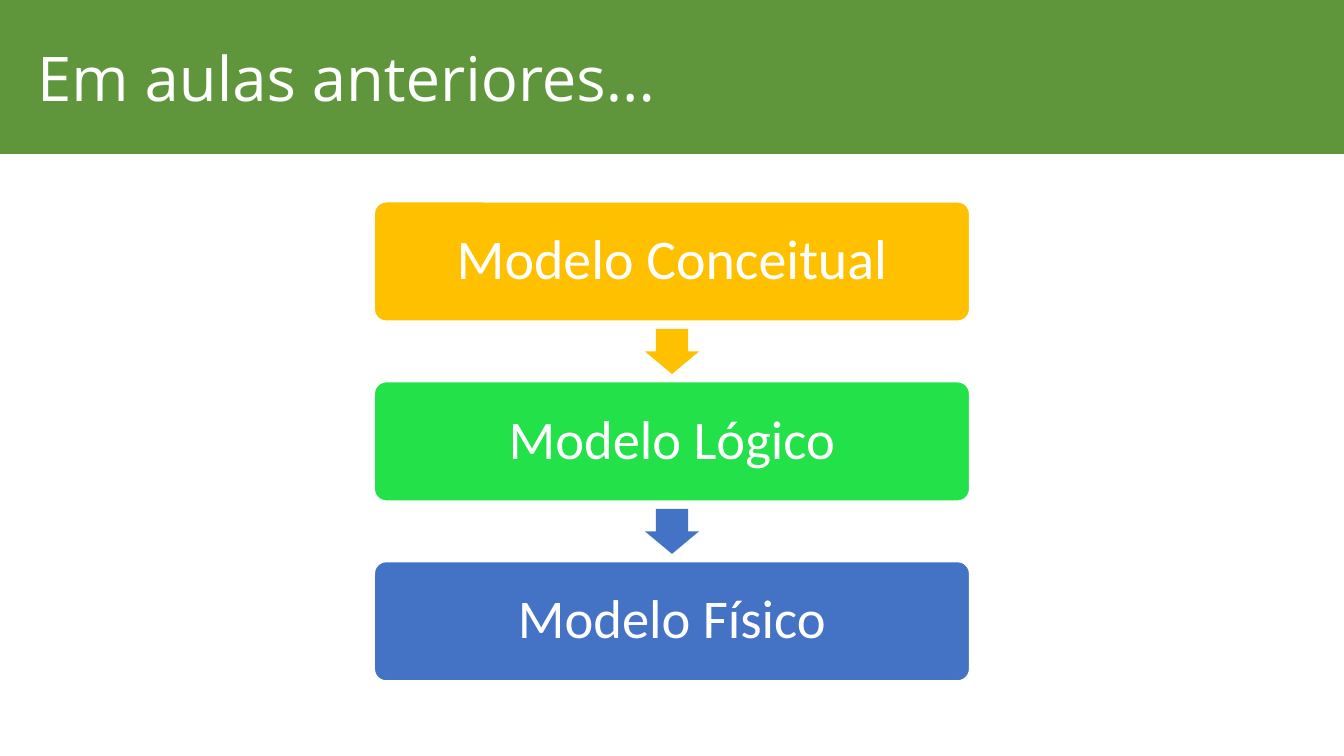
from pptx import Presentation
from pptx.dml.color import RGBColor
from pptx.enum.shapes import MSO_SHAPE
from pptx.enum.text import MSO_ANCHOR, PP_ALIGN
from pptx.util import Pt

# Content
TITLE = "Em aulas anteriores..."
STEPS = [  # text, size, box colour, colour of the arrow below
    ("Modelo Conceitual", 40, "gold", "gold"),
    ("Modelo Lógico", 39, "green", "blue"),
    ("Modelo Físico", 39, "blue", None),
]
HEX = {"band": "5F963B", "gold": "FFC000", "green": "23E148",
       "blue": "4472C4", "white": "FFFFFF"}

# Layout, in points
WIDE, HIGH = 960, 540
BOX_W, BOX_H, TOP, PITCH = 425.2, 85.2, 144.2, 128.5
ARROW_W, ARROW_H = 32.2, 38.6


def color(name):
    return RGBColor.from_string(HEX[name])


def draw(kind, left, top, width, height, fill, line=None):
    shape = slide.shapes.add_shape(
        kind, Pt(left), Pt(top), Pt(width), Pt(height))
    shape.shadow.inherit = False
    shape.fill.solid()
    shape.fill.fore_color.rgb = color(fill)
    if line:
        shape.line.color.rgb = color(line)
        shape.line.width = Pt(1)
    else:
        shape.line.fill.background()
    return shape


def write(shape, text, size, font, align, inset):
    frame = shape.text_frame
    frame.word_wrap = True
    frame.vertical_anchor = MSO_ANCHOR.MIDDLE
    frame.margin_left = frame.margin_right = Pt(inset)
    para = frame.paragraphs[0]
    para.alignment = align
    para.line_spacing = 0.9
    run = para.add_run()
    run.text = text
    run.font.size = Pt(size)
    run.font.name = font
    run.font.color.rgb = color("white")


deck = Presentation()
deck.slide_width, deck.slide_height = Pt(WIDE), Pt(HIGH)
slide = deck.slides.add_slide(deck.slide_layouts[5])

# Title on its green band
title = slide.shapes.title
title.left, title.top = Pt(19.4), Pt(5.8)
title.width, title.height = Pt(828), Pt(104.4)
write(title, TITLE, 44, "Open Sans", PP_ALIGN.LEFT, 7.2)
band = draw(MSO_SHAPE.RECTANGLE, 0, -2, WIDE, 111.6, "band", "band")
title.element.addprevious(band.element)

# Boxes, with an arrow centred in each gap
for i, (text, size, fill, next_fill) in enumerate(STEPS):
    top = TOP + i * PITCH
    box = draw(MSO_SHAPE.ROUNDED_RECTANGLE, (WIDE - BOX_W) / 2, top,
               BOX_W, BOX_H, fill, "white")
    box.adjustments[0] = 0.1
    write(box, text, size, "Calibri", PP_ALIGN.CENTER, 12)
    if next_fill:
        mid = top + (BOX_H + PITCH) / 2
        arrow = draw(MSO_SHAPE.RIGHT_ARROW, (WIDE - ARROW_W) / 2,
                     mid - ARROW_H / 2, ARROW_W, ARROW_H, next_fill)
        arrow.rotation = 90
        arrow.adjustments[0] = 0.6
        arrow.adjustments[1] = 0.5

deck.save("out.pptx")
